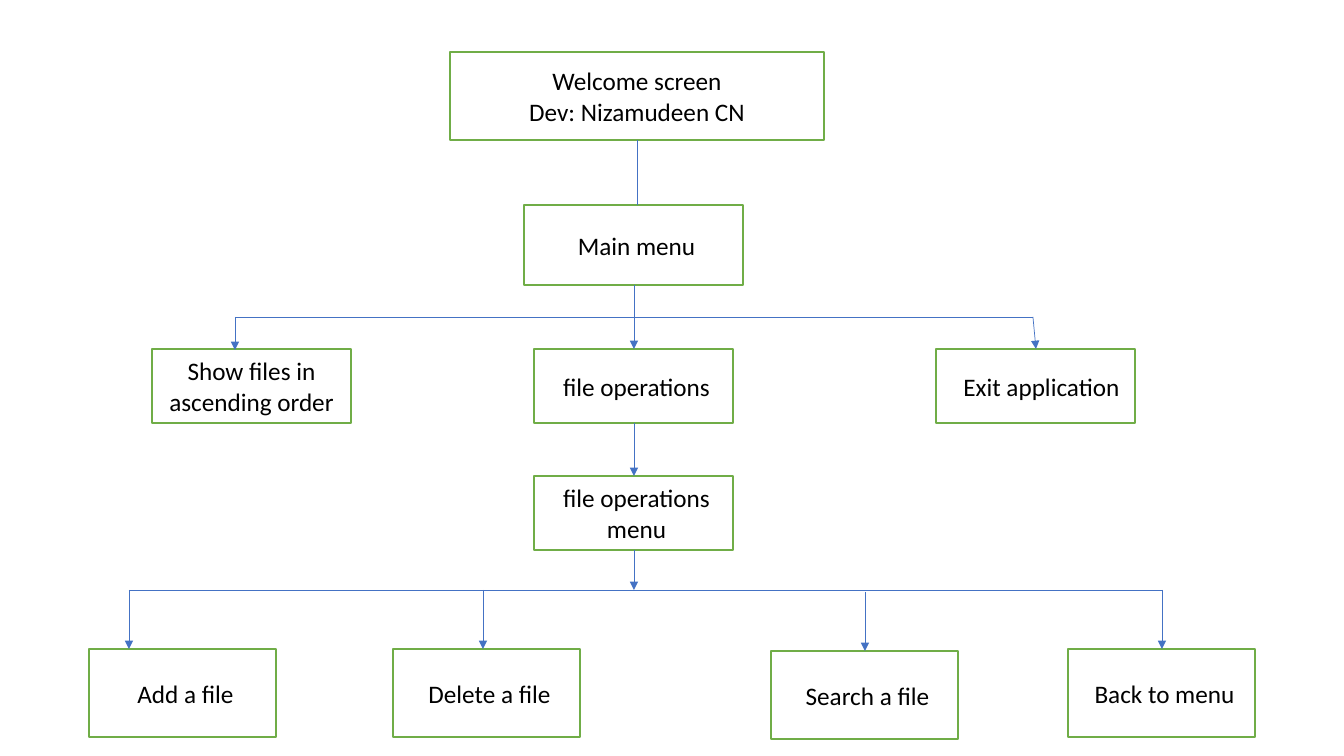
from lxml.etree import SubElement
from pptx import Presentation
from pptx.dml.color import RGBColor
from pptx.enum.shapes import MSO_CONNECTOR as Conn, MSO_SHAPE as Kind
from pptx.enum.text import MSO_ANCHOR as Anchor, PP_ALIGN as Align
from pptx.oxml.ns import qn
from pptx.util import Pt

SCALE = 914400 / 100.8
GREEN, BLUE, WHITE, BLACK = "70AD47", "4472C4", "FFFFFF", "000000"
FONT = {"name": "Calibri", "size": Pt(18)}
FRAME = {"word_wrap": True, "vertical_anchor": Anchor.MIDDLE}
INSET, SPACE = 10, 6

# Each box: left, top, width, height, text, extra left inset
BOXES = [
    (450, 52, 374, 88, "Welcome screen\nDev: Nizamudeen CN", 0),
    (524, 205, 219, 80, "Main menu", SPACE),
    (152, 349, 199, 74, "Show files in ascending order", 0),
    (534, 349, 199, 74, "file operations", SPACE),
    (936, 349, 199, 74, "Exit application", 2 * SPACE),
    (534, 476, 199, 74, "file operations menu", SPACE),
    (89, 649, 187, 88, "Add a file", SPACE),
    (393, 649, 187, 88, "Delete a file", SPACE),
    (771, 651, 187, 88, "Search a file", SPACE),
    (1068, 649, 187, 88, "Back to menu", SPACE),
]

# Each link: start x, start y, end x, end y
LINES = [
    (637, 140, 637, 205),
    (634, 285, 634, 317),
    (634, 317, 1033, 317),
    (235, 317, 634, 317),
    (654, 590, 1162, 590),
    (129, 590, 654, 590),
]
ARROWS = [
    (634, 317, 634, 349),
    (1033, 317, 1036, 349),
    (235, 317, 235, 350),
    (634, 423, 634, 476),
    (634, 550, 634, 590),
    (129, 590, 129, 649),
    (483, 590, 483, 649),
    (865, 592, 865, 651),
    (1162, 590, 1162, 649),
]


def px(num):
    """Turn pixels into EMU."""
    return round(num * SCALE)


def tint(code):
    """Turn a hex string into a colour."""
    return RGBColor.from_string(code)


def style(item, values):
    """Set each attribute named in values."""
    for key, value in values.items():
        setattr(item, key, value)


def stroke(line, code, width):
    """Give a line its colour and width in points."""
    line.color.rgb = tint(code)
    line.width = Pt(width)


def box(slide, left, top, width, height, text, extra):
    """Add a green framed box with centred text."""
    shape = slide.shapes.add_shape(
        Kind.RECTANGLE, *map(px, (left, top, width, height)))
    shape.shadow.inherit = False
    shape.fill.solid()
    shape.fill.fore_color.rgb = tint(WHITE)
    stroke(shape.line, GREEN, 1)
    frame = shape.text_frame
    style(frame, FRAME)
    frame.margin_left = px(INSET + extra)
    frame.text = text
    for para in frame.paragraphs:
        para.alignment = Align.CENTER
        style(para.runs[0].font, FONT)
        para.runs[0].font.color.rgb = tint(BLACK)


def link(slide, ends, head=False):
    """Add a thin blue line, with an arrowhead at its end if asked."""
    wire = slide.shapes.add_connector(Conn.STRAIGHT, *map(px, ends))
    stroke(wire.line, BLUE, 0.5)
    props = wire.element.spPr
    if head:
        SubElement(props.find(qn("a:ln")), qn("a:tailEnd"), type="triangle")
    SubElement(props, qn("a:effectLst"))


def main():
    """Build the menu flow chart."""
    deck = Presentation()
    style(deck, {"slide_width": px(1344), "slide_height": px(756)})
    slide = deck.slides.add_slide(deck.slide_layouts[6])
    for item in BOXES:
        box(slide, *item)
    for ends in LINES:
        link(slide, ends)
    for ends in ARROWS:
        link(slide, ends, head=True)
    deck.save("out.pptx")


main()
